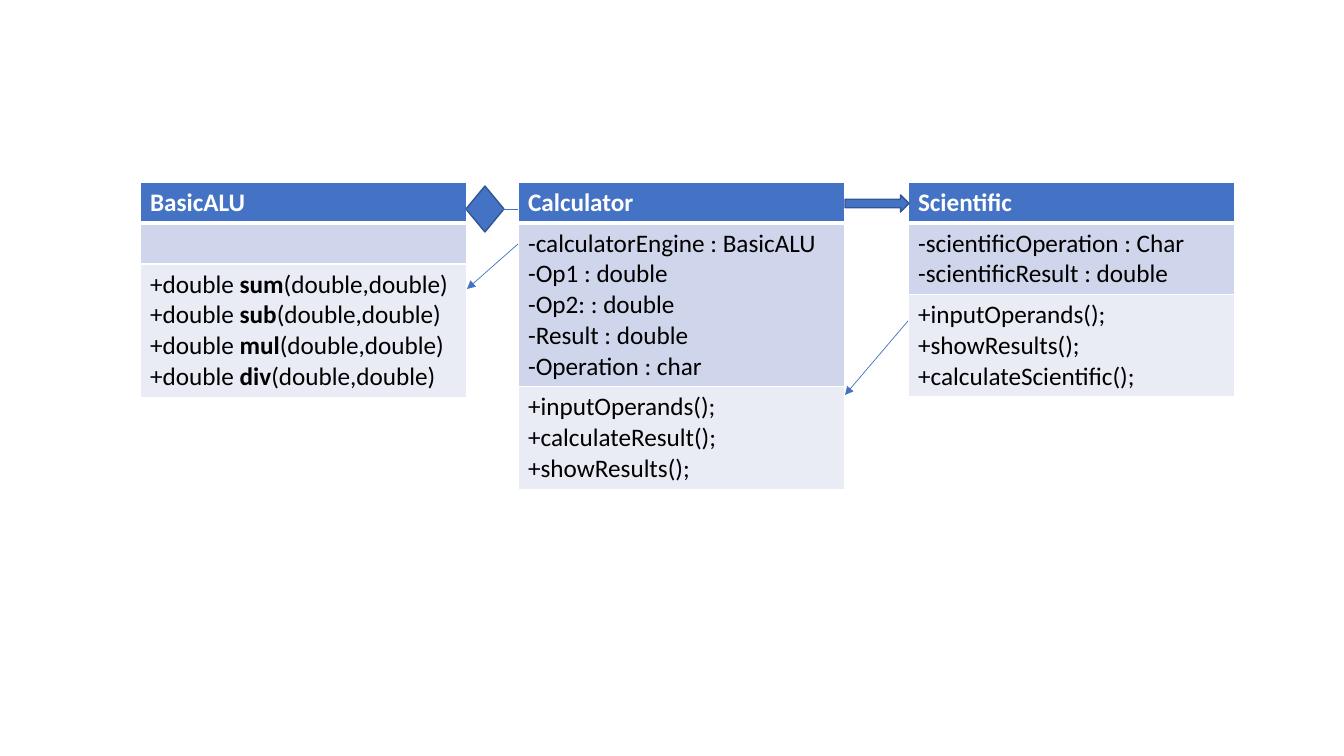
from collections import namedtuple
from dataclasses import dataclass

from lxml.etree import SubElement
from pptx import Presentation
from pptx.dml.color import RGBColor
from pptx.enum.shapes import MSO_CONNECTOR, MSO_SHAPE
from pptx.oxml import parse_xml
from pptx.oxml.ns import nsdecls, qn
from pptx.util import Emu, Pt

Box = namedtuple("Box", "x y w h")


@dataclass(frozen=True)
class Theme:
    """Colours, font and sizes in points."""
    blue: str = "4472C4"
    edge: str = "325491"
    white: str = "FFFFFF"
    black: str = "000000"
    fields: str = "CFD5EA"
    methods: str = "E9EBF5"
    font: str = "Calibri"
    text: int = 18
    rule: int = 1
    divide: int = 3
    link: float = 0.5


THEME = Theme()
ROW = 41


def px(count):
    """Turn pixels into EMU."""
    return Emu(round(count * 12192000 / 1344))


def apply(target, values):
    """Set each named value on the target."""
    for name, value in values.items():
        setattr(target, name, value)


def paint(fill, color):
    """Give a solid colour to a fill."""
    fill.solid()
    fill.fore_color.rgb = RGBColor.from_string(color)


def style(font, color, bold):
    """Give a font the theme's face and size."""
    apply(font, {"name": THEME.font, "size": Pt(THEME.text), "bold": bold})
    font.color.rgb = RGBColor.from_string(color)


def border(cell, base):
    """Draw white rules round a cell, the base rule in its own width."""
    props = cell._tc.get_or_add_tcPr()
    widths = {"lnL": THEME.rule, "lnR": THEME.rule, "lnT": THEME.rule, "lnB": base}
    for spot, (tag, width) in enumerate(widths.items()):
        props.insert(spot, parse_xml(
            f'<a:{tag} {nsdecls("a")} w="{Pt(width)}"><a:solidFill>'
            f'<a:srgbClr val="{THEME.white}"/></a:solidFill></a:{tag}>'))


def write(cell, lines, color, bold):
    """Write one paragraph a line; words between stars are bold."""
    for index, line in enumerate(lines):
        frame = cell.text_frame
        para = frame.add_paragraph() if index else frame.paragraphs[0]
        for turn, part in enumerate(line.split("*")):
            run = para.add_run()
            run.text = part
            style(run.font, color, bold or turn % 2 == 1)
    if not lines:
        style(cell.text_frame.paragraphs[0].font, color, bold)


def add_class(slide, box, title, fields, methods):
    """Place a class table with its title, fields and methods."""
    rows = [([title], THEME.blue, THEME.white, True, THEME.divide),
            (fields, THEME.fields, THEME.black, False, THEME.rule),
            (methods, THEME.methods, THEME.black, False, THEME.rule)]
    table = slide.shapes.add_table(len(rows), 1, *map(px, box)).table
    for index, (lines, fill, color, bold, base) in enumerate(rows):
        cell = table.cell(index, 0)
        write(cell, lines, color, bold)
        paint(cell.fill, fill)
        border(cell, base)


def add_mark(slide, kind, box):
    """Place a blue preset shape."""
    shape = slide.shapes.add_shape(kind, *map(px, box))
    shape.shadow.inherit = False
    paint(shape.fill, THEME.blue)
    paint(shape.line.fill, THEME.edge)
    shape.line.width = Pt(THEME.rule)


def add_link(slide, start, end, arrow=True):
    """Draw a thin line, with an arrowhead at its end if asked."""
    link = slide.shapes.add_connector(
        MSO_CONNECTOR.STRAIGHT, *map(px, (*start, *end)))
    paint(link.line.fill, THEME.blue)
    link.line.width = Pt(THEME.link)
    if arrow:
        SubElement(link.line._get_or_add_ln(), qn("a:tailEnd"), type="triangle")
    SubElement(link._element.spPr, qn("a:effectLst"))


def add_extend(slide, gap):
    """Fill a gap with the arrow and link between parent and child."""
    right = gap.x + gap.w
    add_mark(slide, MSO_SHAPE.RIGHT_ARROW, Box(gap.x, gap.y + 13, gap.w + 1, 17))
    add_link(slide, (right, gap.y + 139), (gap.x, gap.y + 213))


def add_compose(slide, gap):
    """Fill a gap with the diamond and links between part and whole."""
    right = gap.x + gap.w
    add_link(slide, (right, gap.y + 62), (gap.x, gap.y + 107))
    add_mark(slide, MSO_SHAPE.DIAMOND, Box(gap.x - 1, gap.y + 4, 38, 46))
    add_link(slide, (gap.x - 18, gap.y + 27), (right, gap.y + 27), arrow=False)


def between(left, right):
    """Return the box between two class tables."""
    edge = left.x + left.w
    return Box(edge, left.y, right.x - edge, left.h)


def add_model(slide, box):
    """Place the three classes and the marks between them."""
    basic, calc, science = [
        Box(box.x + step, box.y, 327, box.h) for step in (0, 378, 768)]
    add_class(slide, calc, "Calculator",
              ["-calculatorEngine : BasicALU", "-Op1 : double", "-Op2: : double",
               "-Result : double", "-Operation : char"],
              ["+inputOperands();", "+calculateResult();", "+showResults();"])
    add_class(slide, science, "Scientific",
              ["-scientificOperation : Char", "-scientificResult : double"],
              ["+inputOperands();", "+showResults();", "+calculateScientific();"])
    add_class(slide, basic, "BasicALU", [],
              [f"+double *{name}*(double,double)"
               for name in ("sum", "sub", "mul", "div")])
    add_extend(slide, between(calc, science))
    add_compose(slide, between(basic, calc))


deck = Presentation()
apply(deck, {"slide_width": px(1344), "slide_height": px(756)})
add_model(deck.slides.add_slide(deck.slide_layouts[6]), Box(140, 182, 1095, 3 * ROW))
deck.save("out.pptx")
